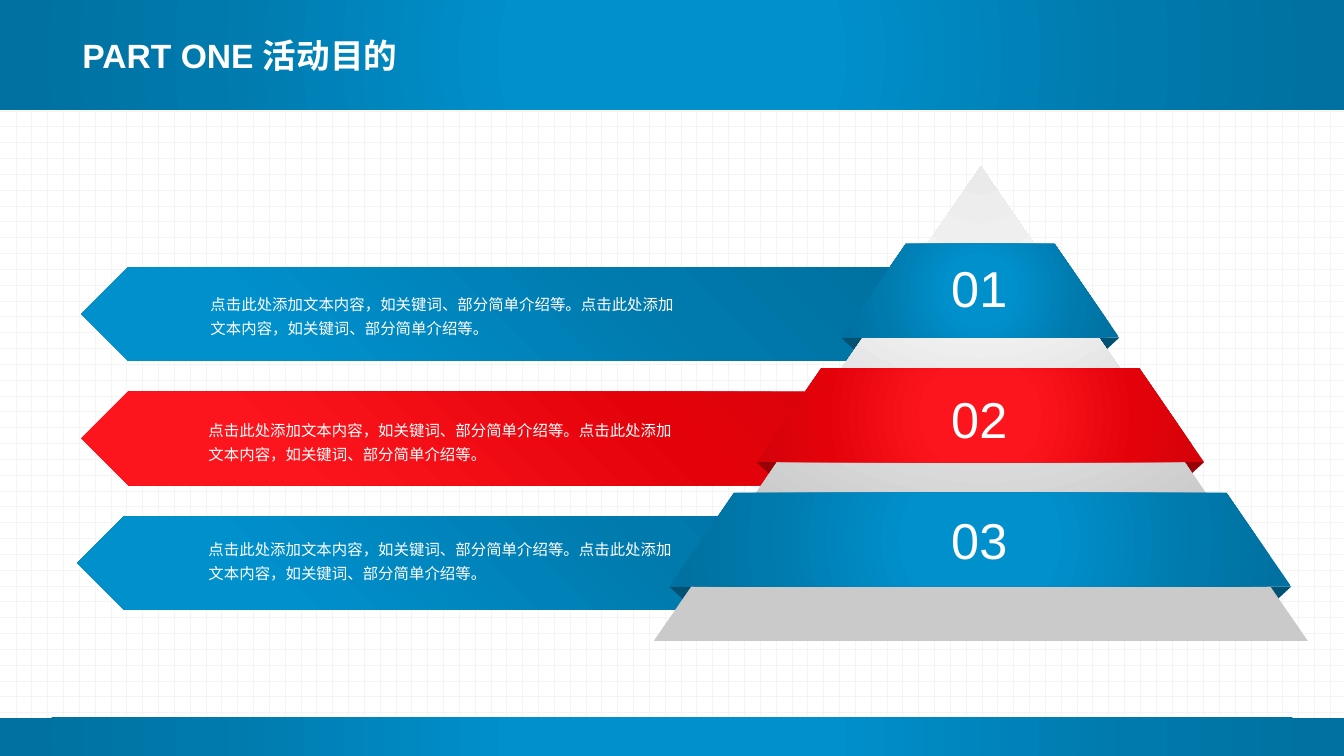
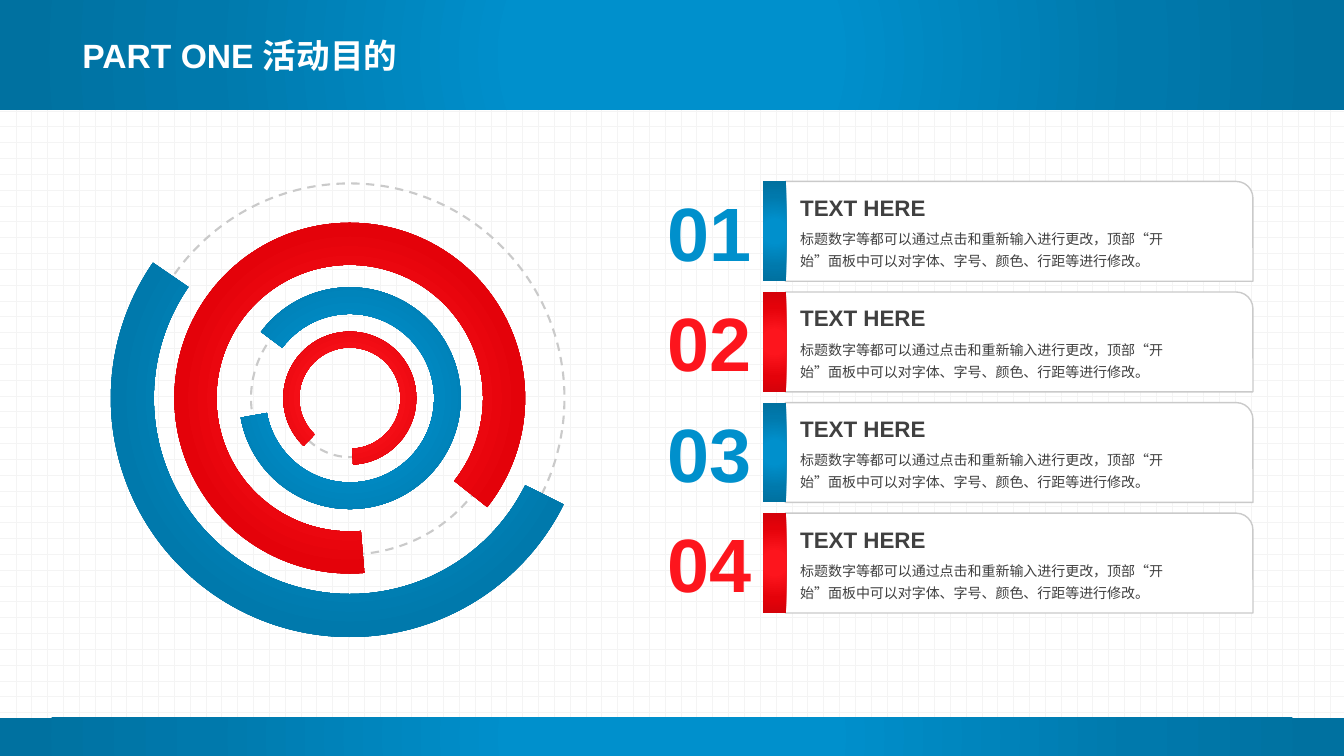
from dataclasses import dataclass
from typing import NamedTuple

from lxml.etree import SubElement
from pptx import Presentation
from pptx.dml.color import RGBColor
from pptx.enum.dml import MSO_LINE, MSO_PATTERN
from pptx.enum.shapes import MSO_SHAPE
from pptx.enum.text import MSO_ANCHOR, MSO_AUTO_SIZE, PP_ALIGN
from pptx.oxml.ns import qn
from pptx.util import Inches, Pt

# The grid: square cells of a tenth of an inch.
CELL = Inches(0.1)
COLUMNS, ROWS = 133.33, 75

LATIN, CHINESE = "Arial", "Noto Sans CJK SC"
WHITE, GREY, DARK = "FFFFFF", "CACACA", "404040"
CENTRE = (50, 50, 50, 50)
BOTTOM_LEFT = (0, 100, 100, 0)
ABOVE = (50, -80, 50, 180)

TITLE = "PART ONE 活动目的"
ARROW_TEXT = "点击此处添加文本内容，如关键词、部分简单介绍等。" * 2
CARD_TEXT = ("标题数字等都可以通过点击和重新输入进行更改，顶部“开始”面板中"
             "可以对字体、字号、颜色、行距等进行修改。")


class Box(NamedTuple):
    """A place on the grid, in columns and rows."""
    left: float
    top: float
    width: float
    height: float

    def lengths(self) -> list[int]:
        return [round(cells * CELL) for cells in self]


@dataclass(frozen=True)
class Theme:
    main: str
    fold: str
    stops: tuple[tuple[int, str], ...]


@dataclass(frozen=True)
class Tier:
    label: str
    theme: Theme
    width: float
    arrow_left: float
    label_top: float
    text_left: float
    text_top: float


@dataclass(frozen=True)
class Ring:
    theme: Theme
    track: float
    band: float
    angles: tuple[float, float]
    thickness: float
    rotation: float = 0


BLUE = Theme("0090CC", "005172",
             ((0, "0090CC"), (23, "0090CC"), (69, "0079AC"), (97, "0071A0")))
RED = Theme("FD151D", "980207",
            ((0, "FD151D"), (23, "FD151D"), (69, "E4020A"), (97, "D5020A")))
SILVER_STOPS = ((0, "EAEAEA"), (35, "F4F4F4"), (100, GREY))

TIERS = (
    Tier("01", BLUE, 27.6, 8.1, 25, 19.9, 28.2),
    Tier("02", RED, 44.4, 8.1, 38, 19.7, 40.7),
    Tier("03", BLUE, 61.7, 7.7, 50, 19.7, 52.5),
)
TIER_TOP, TIER_PITCH, TIER_HEIGHT = 24.2, 12.35, 9.3
PYRAMID_MIDDLE = 97.25

RINGS = (
    Ring(BLUE, 42.6, 47.4, (26.41, 214.55), 0.09),
    Ring(RED, 31, 34.8, (85.21, 38.4), 0.12),
    Ring(BLUE, 19.6, 22, (85.21, 38.4), 0.12, 131.5),
    Ring(RED, 11.7, 13.2, (85.21, 38.4), 0.12, 48.8),
)
RINGS_MIDDLE = (34.7, 39.5)

CARD_THEMES = (BLUE, RED, BLUE, RED)
CARD_TOP, CARD_PITCH, CARD_HEIGHT = 18, 10.97, 9.9


def colour(code: str) -> RGBColor:
    return RGBColor.from_string(code)


def add_shape(slide, kind, box: Box, fill: str | None = None, line: str | None = None,
              line_width: float = 1, flip: str = "", rotation: float = 0):
    """Draw a preset shape; flip holds the letters H and V as needed."""
    shape = slide.shapes.add_shape(kind, *box.lengths())
    shape.shadow.inherit = False
    shape.rotation = rotation
    if fill:
        shape.fill.solid()
        shape.fill.fore_color.rgb = colour(fill)
    else:
        shape.fill.background()
    if line:
        shape.line.color.rgb = colour(line)
        shape.line.width = Pt(line_width)
    else:
        shape.line.fill.background()
    for axis in flip:
        shape._element.spPr.find(qn("a:xfrm")).set(f"flip{axis}", "1")
    return shape


def paint_gradient(shape, stops: tuple[tuple[int, str], ...],
                   focus: tuple[int, int, int, int] = CENTRE) -> None:
    """Fill a shape with a round gradient that starts at the focus."""
    shape.fill.gradient()
    gradient = shape._element.spPr.find(qn("a:gradFill"))
    for child in list(gradient):
        gradient.remove(child)
    gradient.set("rotWithShape", "1")
    stop_list = SubElement(gradient, qn("a:gsLst"))
    for position, code in stops:
        stop = SubElement(stop_list, qn("a:gs"), pos=str(position * 1000))
        SubElement(stop, qn("a:srgbClr"), val=code)
    circle = SubElement(gradient, qn("a:path"), path="circle")
    edges = {edge: str(share * 1000) for edge, share in zip("ltrb", focus)}
    SubElement(circle, qn("a:fillToRect"), **edges)


def add_text(slide, box: Box, text: str, *, size: float, code: str = WHITE,
             font: str = LATIN, bold: bool = False, spacing: float = 1,
             align=PP_ALIGN.LEFT, anchor=MSO_ANCHOR.TOP, wrap: bool = True,
             grow: bool = True) -> None:
    frame = slide.shapes.add_textbox(*box.lengths()).text_frame
    frame.word_wrap = wrap
    frame.auto_size = MSO_AUTO_SIZE.SHAPE_TO_FIT_TEXT if grow else MSO_AUTO_SIZE.NONE
    frame.vertical_anchor = anchor
    paragraph = frame.paragraphs[0]
    paragraph.alignment = align
    paragraph.line_spacing = spacing
    run = paragraph.add_run()
    run.text = text
    run.font.size = Pt(size)
    run.font.bold = bold
    run.font.color.rgb = colour(code)
    run.font.name = font
    SubElement(run._r.get_or_add_rPr(), qn("a:ea"), typeface=CHINESE)


def set_background(presentation) -> None:
    fill = presentation.slide_master.background.fill
    fill.patterned()
    fill.pattern = MSO_PATTERN.DOTTED_GRID
    fill.fore_color.rgb = colour("F4F4F4")
    fill.back_color.rgb = colour(WHITE)


def add_slide(presentation):
    """Add a blank slide with the two bands and the title."""
    slide = presentation.slides.add_slide(presentation.slide_layouts[6])
    for top, height in ((0, 10.9), (ROWS - 3.8, 3.8)):
        band = add_shape(slide, MSO_SHAPE.RECTANGLE, Box(0, top, COLUMNS, height))
        paint_gradient(band, BLUE.stops)
    add_text(slide, Box(7.2, 2.8, 61.6, 5.8), TITLE, size=24, bold=True,
             spacing=0.9, anchor=MSO_ANCHOR.MIDDLE, grow=False)
    return slide


def build_pyramid(slide) -> None:
    tops = [TIER_TOP + index * TIER_PITCH for index in range(len(TIERS))]
    for tier, top in zip(TIERS, tops):
        arrow = add_shape(slide, MSO_SHAPE.PENTAGON,
                          Box(tier.arrow_left, top + 2.3, 84.3, TIER_HEIGHT), flip="H")
        paint_gradient(arrow, tier.theme.stops, BOTTOM_LEFT)
    for tier, top in zip(TIERS, tops):
        left = PYRAMID_MIDDLE - tier.width / 2
        for fold_left, flip in ((left + tier.width - 2.6, "V"), (left, "HV")):
            add_shape(slide, MSO_SHAPE.RIGHT_TRIANGLE,
                      Box(fold_left, top + TIER_HEIGHT, 2.6, 2.4),
                      fill=tier.theme.fold, flip=flip)
    core = add_shape(slide, MSO_SHAPE.ISOSCELES_TRIANGLE,
                     Box(PYRAMID_MIDDLE - 32.4, 16.5, 64.9, 47.1))
    paint_gradient(core, SILVER_STOPS, ABOVE)
    for tier, top in zip(TIERS, tops):
        step = add_shape(slide, MSO_SHAPE.TRAPEZOID,
                         Box(PYRAMID_MIDDLE - tier.width / 2, top, tier.width, TIER_HEIGHT))
        step.adjustments[0] = 0.69
        paint_gradient(step, tier.theme.stops)
        add_text(slide, Box(PYRAMID_MIDDLE - 3.9, tier.label_top, 7.6, 7.1), tier.label,
                 size=36, align=PP_ALIGN.CENTER, wrap=False)
        add_text(slide, Box(tier.text_left, tier.text_top, 48.6, 5.8), ARROW_TEXT,
                 size=11, font=CHINESE, spacing=1.3)


def centred_square(side: float) -> Box:
    middle_column, middle_row = RINGS_MIDDLE
    return Box(middle_column - side / 2, middle_row - side / 2, side, side)


def build_rings(slide) -> None:
    for ring in RINGS:
        track = add_shape(slide, MSO_SHAPE.OVAL, centred_square(ring.track),
                          line=GREY, line_width=1.5, rotation=ring.rotation)
        track.line.dash_style = MSO_LINE.DASH
        band = add_shape(slide, MSO_SHAPE.BLOCK_ARC, centred_square(ring.band),
                         rotation=ring.rotation)
        for index, degrees in enumerate(ring.angles):
            band.adjustments[index] = degrees * 0.6  # 60000 units a degree, over 100000
        band.adjustments[2] = ring.thickness
        paint_gradient(band, ring.theme.stops)


def build_cards(slide) -> None:
    for index, theme in enumerate(CARD_THEMES):
        top = CARD_TOP + index * CARD_PITCH
        add_shape(slide, MSO_SHAPE.ROUND_1_RECTANGLE, Box(77.9, top, 46.4, CARD_HEIGHT),
                  fill=WHITE, line=GREY)
        bar = add_shape(slide, MSO_SHAPE.RECTANGLE, Box(75.7, top, 2.3, CARD_HEIGHT))
        paint_gradient(bar, theme.stops)
        add_text(slide, Box(78.4, top + 3.9, 41.1, 5.4), CARD_TEXT,
                 size=10, code=DARK, font=CHINESE, spacing=1.3)
        add_text(slide, Box(78.4, top + 0.75, 19.9, 3.7), "TEXT HERE",
                 size=16, code=DARK, bold=True)
        add_text(slide, Box(65.2, top - 0.1, 10.4, 10.1), f"{index + 1:02}",
                 size=54, code=theme.main, bold=True, align=PP_ALIGN.CENTER, wrap=False)


def main() -> None:
    presentation = Presentation()
    presentation.slide_width = round(COLUMNS * CELL)
    presentation.slide_height = ROWS * CELL
    set_background(presentation)
    build_pyramid(add_slide(presentation))
    rings_slide = add_slide(presentation)
    build_rings(rings_slide)
    build_cards(rings_slide)
    presentation.save("out.pptx")


if __name__ == "__main__":
    main()
